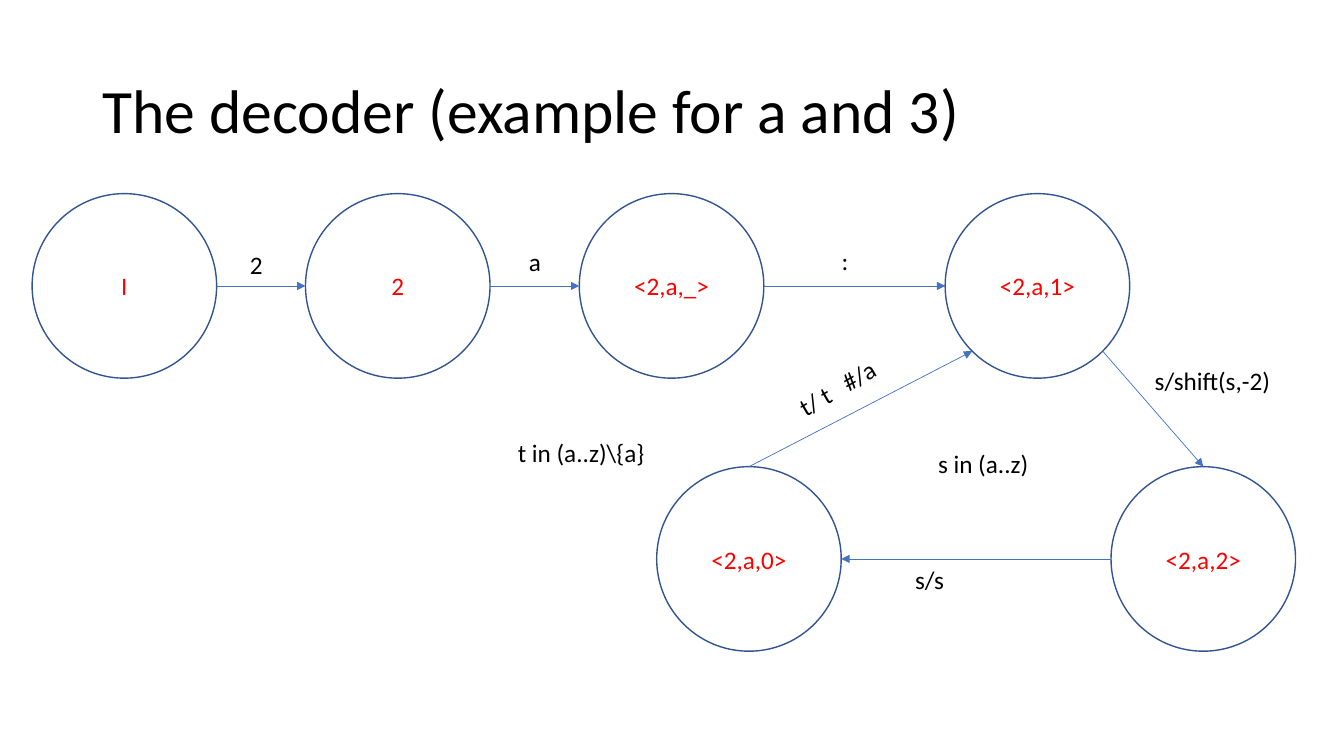
from dataclasses import dataclass
from math import cos, radians, sin

from lxml import etree
from pptx import Presentation
from pptx.dml.color import RGBColor
from pptx.enum import shapes, text
from pptx.oxml import ns
from pptx.util import Cm, Pt


@dataclass(frozen=True)
class Theme:
    font: str = "Calibri"
    ink: RGBColor = RGBColor(0, 0, 0)
    name: RGBColor = RGBColor(0xFF, 0, 0)
    ring: RGBColor = RGBColor(0x32, 0x54, 0x91)
    edge: RGBColor = RGBColor(0x44, 0x72, 0xC4)
    head: int = 44
    body: int = 18


@dataclass(frozen=True)
class State:
    name: str
    left: float
    top: float

    def point(self, angle: float) -> tuple[float, float]:
        """Point on the circle, clockwise in degrees from the right."""
        turn = radians(angle)
        return (self.left + SIZE / 2 * (1 + cos(turn)),
                self.top + SIZE / 2 * (1 + sin(turn)))


@dataclass(frozen=True)
class Edge:
    start: State
    exit: float
    end: State
    entry: float


@dataclass(frozen=True)
class Label:
    words: str
    left: float
    top: float
    width: float
    turn: float = 0
    stop: float = 0


THEME = Theme()
SIZE = 4.65
HIGH, LOW = 4.88, 11.76
RIGHT, DOWN, LEFT, UP = 0, 90, 180, 270

# States of the decoder
INIT = State("I", 0.81, HIGH)
SHIFT = State("2", 7.7, HIGH)
KEY = State("<2,a,_>", 14.6, HIGH)
ONE = State("<2,a,1>", 23.82, HIGH)
TWO = State("<2,a,2>", 28.0, LOW)
ZERO = State("<2,a,0>", 16.55, LOW)
STATES = [INIT, SHIFT, KEY, ONE, TWO, ZERO]

# Transitions between states
EDGES = [
    Edge(INIT, RIGHT, SHIFT, LEFT),
    Edge(SHIFT, RIGHT, KEY, LEFT),
    Edge(KEY, RIGHT, ONE, LEFT),
    Edge(ONE, 45, TWO, UP),
    Edge(TWO, LEFT, ZERO, RIGHT),
    Edge(ZERO, UP, ONE, 135),
]

# Transition labels and symbol ranges
LABELS = [
    Label("2", 6.05, 6.17, 0.84),
    Label("a", 13.08, 6.07, 0.81),
    Label(":", 20.96, 6.05, 0.69),
    Label("s/shift(s,-2)", 28.85, 9.09, 3.45),
    Label("s/s", 22.81, 14.1, 1.24),
    Label("t/ t\t#/a", 19.79, 9.25, 2.64, turn=-30.1, stop=1.25),
    Label("s in (a..z)", 23.39, 11.18, 2.82),
    Label(r"t in (a..z)\{a}", 12.8, 10.9, 3.73),
]


def style(para, size: int, color: RGBColor, align) -> None:
    para.alignment = align
    para.font.name = THEME.font
    para.font.size = Pt(size)
    para.font.color.rgb = color


def add_title(slide, words: str) -> None:
    title = slide.shapes.title
    title.left, title.top = Cm(2.33), Cm(1.01)
    title.width, title.height = Cm(29.21), Cm(3.68)
    frame = title.text_frame
    frame.text = words
    frame.vertical_anchor = text.MSO_ANCHOR.MIDDLE
    frame.auto_size = text.MSO_AUTO_SIZE.NONE
    para = frame.paragraphs[0]
    para.line_spacing = 0.9
    style(para, THEME.head, THEME.ink, text.PP_ALIGN.LEFT)


def add_state(slide, state: State) -> None:
    oval = slide.shapes.add_shape(
        shapes.MSO_SHAPE.OVAL, Cm(state.left), Cm(state.top), Cm(SIZE), Cm(SIZE))
    oval.shadow.inherit = False
    oval.fill.background()
    oval.line.color.rgb = THEME.ring
    oval.line.width = Pt(1)
    frame = oval.text_frame
    frame.text = state.name
    frame.vertical_anchor = text.MSO_ANCHOR.MIDDLE
    style(frame.paragraphs[0], THEME.body, THEME.name, text.PP_ALIGN.CENTER)


def add_edge(slide, edge: Edge) -> None:
    ends = edge.start.point(edge.exit) + edge.end.point(edge.entry)
    line = slide.shapes.add_connector(
        shapes.MSO_CONNECTOR.STRAIGHT, *(Cm(x) for x in ends))
    line.line.color.rgb = THEME.edge
    line.line.width = Pt(0.5)
    # Arrowhead, and no shadow
    props = line.line._get_or_add_ln()
    etree.SubElement(props, ns.qn("a:tailEnd"), type="triangle")
    etree.SubElement(line._element.spPr, ns.qn("a:effectLst"))


def add_label(slide, label: Label) -> None:
    box = slide.shapes.add_textbox(
        Cm(label.left), Cm(label.top), Cm(label.width), Cm(1.02))
    box.rotation = label.turn
    frame = box.text_frame
    frame.text = label.words
    frame.word_wrap = False
    frame.auto_size = text.MSO_AUTO_SIZE.SHAPE_TO_FIT_TEXT
    para = frame.paragraphs[0]
    style(para, THEME.body, THEME.ink, text.PP_ALIGN.LEFT)
    if label.stop:
        # Tab stop goes ahead of the default run style
        tabs = etree.Element(ns.qn("a:tabLst"))
        etree.SubElement(tabs, ns.qn("a:tab"), pos=str(Cm(label.stop)), algn="l")
        para._p.get_or_add_pPr().insert(0, tabs)


def main() -> None:
    deck = Presentation()
    deck.slide_width, deck.slide_height = Cm(33.87), Cm(19.05)
    slide = deck.slides.add_slide(deck.slide_layouts.get_by_name("Title Only"))
    add_title(slide, "The decoder (example for a and 3)")
    for state in STATES:
        add_state(slide, state)
    for edge in EDGES:
        add_edge(slide, edge)
    for label in LABELS:
        add_label(slide, label)
    deck.save("out.pptx")


if __name__ == "__main__":
    main()
